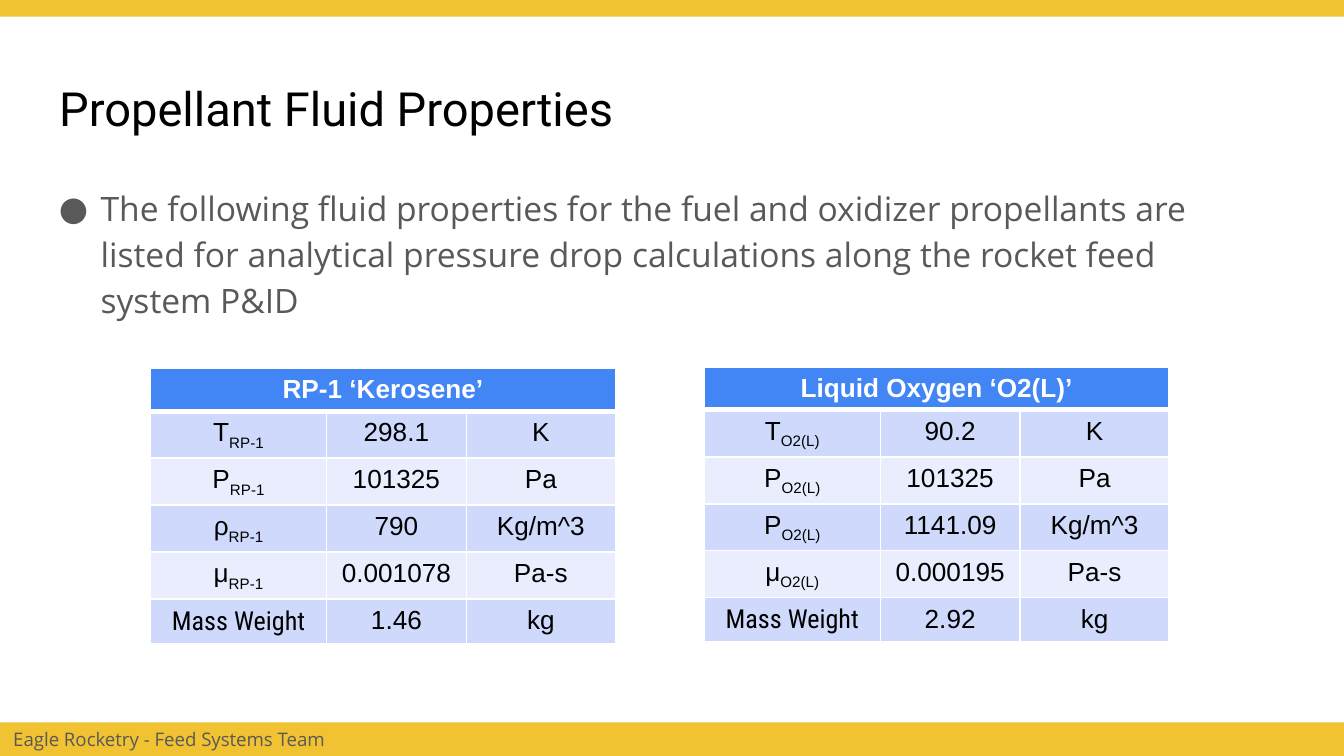
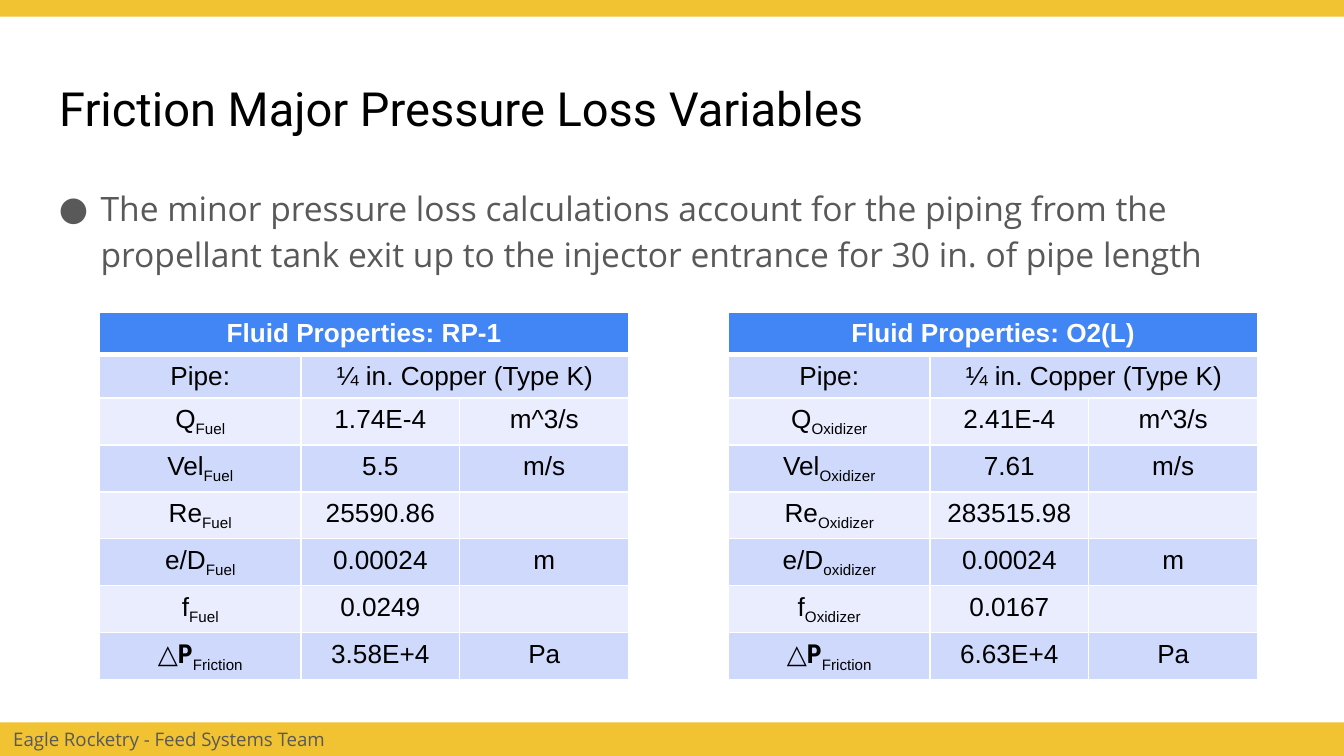
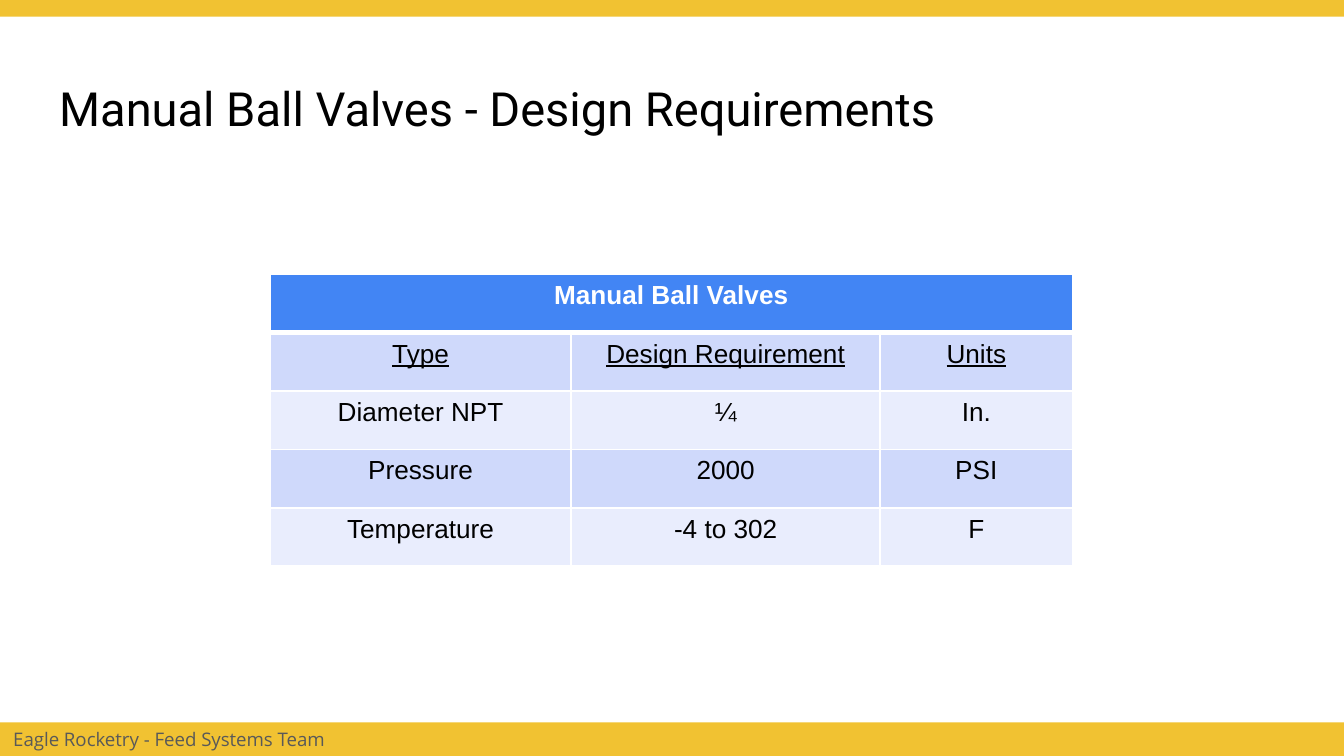
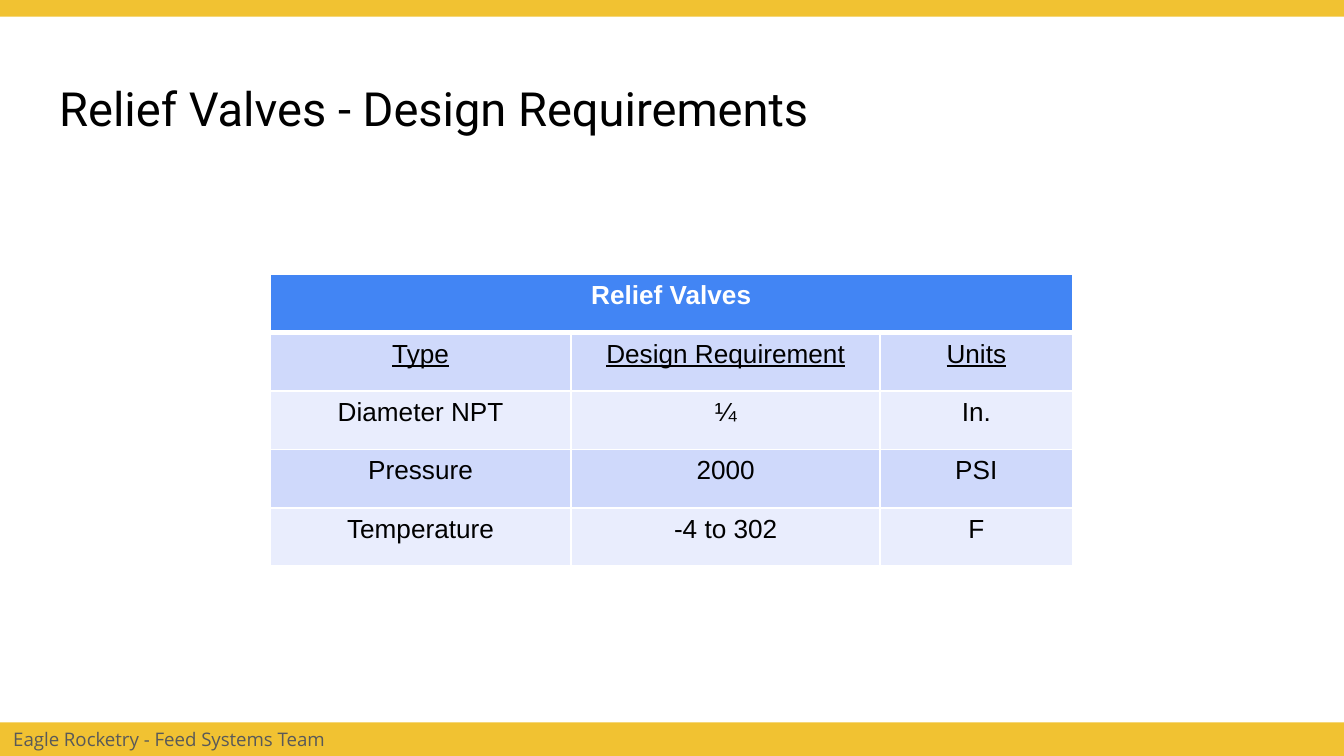
"""Build four slides on rocket feed system fluid properties and valve requirements."""
from dataclasses import dataclass

from lxml import etree
from pptx import Presentation
from pptx import util as u
from pptx.dml.color import RGBColor
from pptx.enum import shapes, text
from pptx.oxml import ns

SCALE = 4572
WIDTH, HEIGHT = 2000, 1125
INSET = 20
BULLET_INDENT = 62
GOLD, BLUE, WHITE, BLACK, GREY = "F1C232", "4285F4", "FFFFFF", "000000", "595959"
STRIPES = ("CFD9FB", "E9EDFD")
FOOTER = "Eagle Rocketry - Feed Systems Team"
TITLE_FONT, BODY_FONT, TABLE_FONT = "Roboto", "Open Sans", "Arial"
LABEL_FONT = "Roboto Condensed"
LABEL_BOLD = {"Mass Weight": False, "△P": True}
TABLE_SIZE = 14


@dataclass(frozen=True)
class Band:
    top: int
    height: int
    label: str = ""


@dataclass(frozen=True)
class Grid:
    """None in a row joins that cell to the one on its left; "_" starts a subscript."""
    heading: str
    left: int
    top: int
    height: int
    row_height: int
    columns: tuple
    rows: tuple
    underline_first: bool = False


@dataclass(frozen=True)
class Page:
    title: str
    grids: tuple
    bullet: str = ""
    bullet_width: int = 0


BANDS = (Band(HEIGHT - 50, 50, FOOTER), Band(0, 25))


def px(n: int) -> u.Emu:
    return u.Emu(n * SCALE)


def rgb(code: str) -> RGBColor:
    return RGBColor.from_string(code)


def write(p, words: str, *, size: float, font: str, color: str, bold: bool = False,
          underline: bool = False, subscript: bool = False) -> None:
    r = p.add_run()
    r.text = words
    r.font.size = u.Pt(size)
    r.font.name = font
    r.font.color.rgb = rgb(color)
    r.font.bold = bold
    r.font.underline = underline
    if subscript:
        r.font._element.set("baseline", "-25000")


def place(sp, left: int, top: int, width: int, height: int) -> None:
    sp.left, sp.top, sp.width, sp.height = map(px, (left, top, width, height))


def frame(sp, anchor=text.MSO_ANCHOR.TOP):
    tf = sp.text_frame
    tf.word_wrap = True
    tf.auto_size = text.MSO_AUTO_SIZE.NONE
    tf.vertical_anchor = anchor
    tf.margin_left = tf.margin_right = tf.margin_top = tf.margin_bottom = px(INSET)
    p = tf.paragraphs[0]
    p.alignment = text.PP_ALIGN.LEFT
    return p


def add_band(s, band: Band) -> None:
    sp = s.shapes.add_shape(shapes.MSO_SHAPE.RECTANGLE, 0, px(band.top), px(WIDTH), px(band.height))
    sp.shadow.inherit = False
    sp.fill.solid()
    sp.fill.fore_color.rgb = rgb(GOLD)
    sp.line.fill.background()
    if band.label:
        write(frame(sp, text.MSO_ANCHOR.MIDDLE), band.label, size=10, font=BODY_FONT, color=GREY)


def add_title(s, words: str) -> None:
    place(s.shapes.title, 68, 98, 1864, 126)
    write(frame(s.shapes.title), words, size=25.2, font=TITLE_FONT, color=BLACK)


def add_bullet(s, words: str, width: int) -> None:
    sp = s.shapes.add_textbox(px(68), px(250), px(width), px(748))
    p = frame(sp)
    p.line_spacing = 1.15
    props = p._p.get_or_add_pPr()
    props.set("marL", str(px(BULLET_INDENT)))
    props.set("indent", str(px(-BULLET_INDENT)))
    tint = etree.SubElement(props, ns.qn("a:buClr"))
    etree.SubElement(tint, ns.qn("a:srgbClr"), val=GREY)
    etree.SubElement(props, ns.qn("a:buFont"), typeface=BODY_FONT)
    etree.SubElement(props, ns.qn("a:buChar"), char="●")
    write(p, words, size=18, font=BODY_FONT, color=GREY)


def style_cell(cell, color: str, row: int) -> None:
    """Give a cell its white borders, with a thick one under the heading, and its fill."""
    props = cell._tc.get_or_add_tcPr()
    thick = {0: "a:lnB", 1: "a:lnT"}.get(row)
    for side in ("a:lnL", "a:lnR", "a:lnT", "a:lnB"):
        ln = etree.SubElement(props, ns.qn(side), w=str(u.Pt(3 if side == thick else 1)))
        fill = etree.SubElement(ln, ns.qn("a:solidFill"))
        etree.SubElement(fill, ns.qn("a:srgbClr"), val=WHITE)
    cell.fill.solid()
    cell.fill.fore_color.rgb = rgb(color)


def fill_cell(cell, words: str, **style) -> None:
    p = cell.text_frame.paragraphs[0]
    p.alignment = text.PP_ALIGN.CENTER
    if not words:
        etree.SubElement(p._p, ns.qn("a:endParaRPr"), sz=str(TABLE_SIZE * 100))
        return
    base, _, sub = words.partition("_")
    look = {"size": TABLE_SIZE, "font": TABLE_FONT, "color": BLACK} | style
    special = {"font": LABEL_FONT, "bold": LABEL_BOLD[base]} if base in LABEL_BOLD else {}
    write(p, base, **(look | special))
    if sub:
        write(p, sub, subscript=True, **look)


def add_grid(s, grid: Grid) -> None:
    rows = ((grid.heading, None, None), *grid.rows)
    holder = s.shapes.add_table(len(rows), len(grid.columns), px(grid.left), px(grid.top),
                                px(sum(grid.columns)), px(grid.height))
    table = holder.table
    table.first_row = table.horz_banding = False
    for column, width in zip(table.columns, grid.columns):
        column.width = px(width)
    for row in table.rows:
        row.height = px(grid.row_height)
    holder.height = px(grid.height)
    for i, row in enumerate(rows):
        for j, words in enumerate(row):
            cell = table.cell(i, j)
            style_cell(cell, STRIPES[(i - 1) % 2] if i else BLUE, i)
            style = {"color": WHITE, "bold": True} if i == 0 else {
                "underline": grid.underline_first and i == 1}
            fill_cell(cell, words or "", **style)
        if None in row:
            table.cell(i, row.index(None) - 1).merge(table.cell(i, len(row) - 1))


def fluid_grid(heading: str, left: int, top: int, fluid: str, density: str,
               values: tuple) -> Grid:
    labels = [f"{symbol}_{fluid}" for symbol in ("T", "P", density, "μ")] + ["Mass Weight"]
    units = ("K", "Pa", "Kg/m^3", "Pa-s", "kg")
    return Grid(heading, left, top, 400, 56, (262, 208, 222), tuple(zip(labels, values, units)))


def friction_grid(fluid: str, left: int, labels: tuple, values: tuple) -> Grid:
    units = ("m^3/s", "m/s", "", "m", "", "Pa")
    rows = (("Pipe:", "¼ in. Copper (Type K)", None), *zip(labels, values, units))
    return Grid(f"Fluid Properties: {fluid}", left, 464, 534, 64, (300, 236, 252), rows)


def valve_page(valves: str) -> Page:
    rows = (
        ("Type", "Design Requirement", "Units"),
        ("Diameter NPT", "¼", "In."),
        ("Pressure", "2000", "PSI"),
        ("Temperature", "-4 to 302", "F"),
    )
    grid = Grid(valves, 402, 408, 436, 87, (448, 460, 286), rows, underline_first=True)
    return Page(f"{valves} - Design Requirements", (grid,))


PAGES = (
    Page(
        "Propellant Fluid Properties",
        (
            fluid_grid("RP-1 ‘Kerosene’", 224, 548, "RP-1", "ρ",
                       ("298.1", "101325", "790", "0.001078", "1.46")),
            fluid_grid("Liquid Oxygen ‘O2(L)’", 1048, 546, "O2(L)", "Ρ",
                       ("90.2", "101325", "1141.09", "0.000195", "2.92")),
        ),
        "The following fluid properties for the fuel and oxidizer propellants are listed for "
        "analytical pressure drop calculations along the rocket feed system P&ID",
        1802,
    ),
    Page(
        "Friction Major Pressure Loss Variables",
        (
            friction_grid("RP-1", 148,
                          ("Q_Fuel", "Vel_Fuel", "Re_Fuel", "e/D_Fuel", "f_Fuel", "△P_Friction"),
                          ("1.74E-4", "5.5", "25590.86", "0.00024", "0.0249", "3.58E+4")),
            friction_grid("O2(L)", 1084,
                          ("Q_Oxidizer", "Vel_Oxidizer", "Re_Oxidizer", "e/D_oxidizer",
                           "f_Oxidizer", "△P_Friction"),
                          ("2.41E-4", "7.61", "283515.98", "0.00024", "0.0167", "6.63E+4")),
        ),
        "The minor pressure loss calculations account for the piping from the propellant tank "
        "exit up to the injector entrance for 30 in. of pipe length",
        1864,
    ),
    valve_page("Manual Ball Valves"),
    valve_page("Relief Valves"),
)


def main() -> None:
    prs = Presentation()
    prs.slide_width, prs.slide_height = px(WIDTH), px(HEIGHT)
    for page in PAGES:
        s = prs.slides.add_slide(prs.slide_layouts[5])
        for band in BANDS:
            add_band(s, band)
        add_title(s, page.title)
        if page.bullet:
            add_bullet(s, page.bullet, page.bullet_width)
        for grid in page.grids:
            add_grid(s, grid)
    prs.save("out.pptx")


if __name__ == "__main__":
    main()
